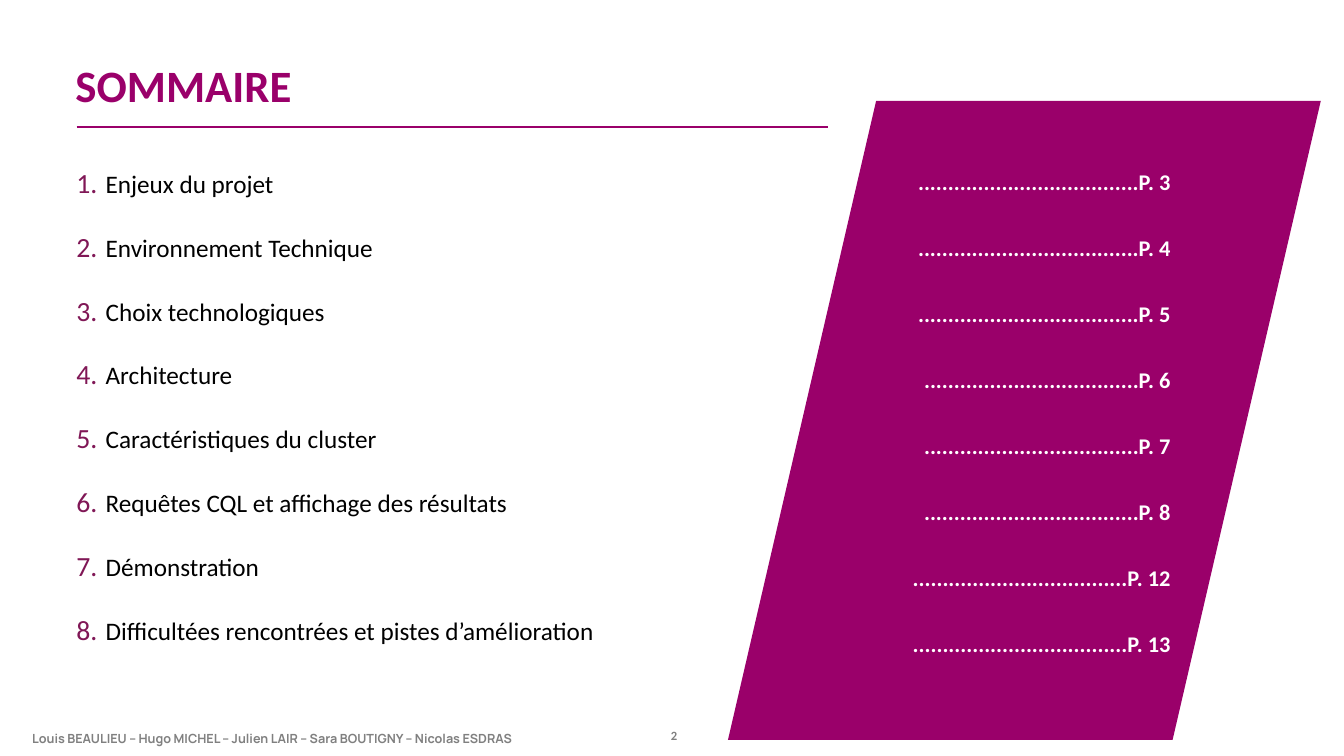
from lxml import etree
from pptx import Presentation
from pptx.dml.color import RGBColor
from pptx.enum.shapes import MSO_CONNECTOR as Conn, MSO_SHAPE as Shape
from pptx.enum.text import MSO_ANCHOR as Anchor, PP_ALIGN as Align
from pptx.oxml.ns import qn
from pptx.util import Inches, Pt

PLUM = RGBColor(0x9A, 0x00, 0x6A)
BERRY = RGBColor(0x80, 0x17, 0x56)
BLACK = RGBColor(0x00, 0x00, 0x00)
WHITE = RGBColor(0xFF, 0xFF, 0xFF)
GREY = RGBColor(0x80, 0x80, 0x80)

TOPICS = [
    ("Enjeux du projet", 3, 37),
    ("Environnement Technique", 4, 37),
    ("Choix technologiques", 5, 37),
    ("Architecture", 6, 36),
    ("Caractéristiques du cluster", 7, 36),
    ("Requêtes CQL et affichage des résultats", 8, 36),
    ("Démonstration", 12, 36),
    ("Difficultées rencontrées et pistes d’amélioration", 13, 36),
]  # title, page, number of leader dots
AUTHORS = "Louis BEAULIEU – Hugo MICHEL – Julien LAIR – Sara BOUTIGNY – Nicolas ESDRAS"


def add_text(slide, box, lines, size, color, font="Calibri", bold=False,
             align=Align.LEFT, anchor=Anchor.TOP, before=0, after=0):
    frame = slide.shapes.add_textbox(*map(Inches, box)).text_frame
    frame.word_wrap = True
    frame.vertical_anchor = anchor
    frame.text = "\n".join(lines)
    for para in frame.paragraphs:
        para.alignment = align
        para.space_before, para.space_after = Pt(before), Pt(after)
        face = para.runs[0].font
        face.name, face.size, face.bold = font, Pt(size), bold
        face.color.rgb = color
    return frame


def number(para, indent, color, percent):
    """Give a paragraph an automatic number with a hanging indent."""
    props = para._p.get_or_add_pPr()
    props.set("marL", str(Inches(indent)))
    props.set("indent", str(-Inches(indent)))
    tint = etree.SubElement(props, qn("a:buClr"))
    etree.SubElement(tint, qn("a:srgbClr"), val=str(color))
    etree.SubElement(props, qn("a:buSzPct"), val=str(percent * 1000))
    etree.SubElement(props, qn("a:buFont"), typeface="Calibri")
    etree.SubElement(props, qn("a:buAutoNum"), type="arabicPeriod")


def add_header(slide, left, top, width):
    add_text(slide, (left, top, 2.55, 0.86), ["SOMMAIRE"], 32, PLUM, bold=True)
    start, level = left + 0.11, top + 0.74
    rule = slide.shapes.add_connector(
        Conn.STRAIGHT, Inches(start), Inches(level),
        Inches(start + width), Inches(level))
    rule.line.color.rgb = PLUM
    rule.line.width = Pt(1.5)
    etree.SubElement(rule._element.spPr, qn("a:effectLst"))


def add_topics(slide, box):
    frame = add_text(slide, box, [title for title, _, _ in TOPICS], 18, BLACK,
                     before=12, after=12)
    for para in frame.paragraphs:
        number(para, 0.29, BERRY, 110)


def add_pages(slide, left, top, width, height):
    panel = slide.shapes.add_shape(
        Shape.PARALLELOGRAM, *map(Inches, (left, top, width, height)))
    panel.shadow.inherit = False
    panel.fill.solid()
    panel.fill.fore_color.rgb = PLUM
    panel.line.fill.background()
    pages = ["." * dots + f"P. {page}" for _, page, dots in TOPICS]
    add_text(slide, (left + 1.26, top + 0.62, 3.23, 5.2), pages, 16, WHITE,
             bold=True, align=Align.RIGHT, before=16, after=12)


def add_footer(slide, left, top):
    add_text(slide, (left, top + 0.03, 5.21, 0.4), [AUTHORS], 9, GREY,
             font="Manrope", bold=True, anchor=Anchor.MIDDLE)
    add_text(slide, (left + 6.16, top, 0.61, 0.4), ["2"], 9, GREY,
             bold=True, align=Align.CENTER, anchor=Anchor.MIDDLE)


def main():
    deck = Presentation()
    deck.slide_width, deck.slide_height = Inches(13.33), Inches(7.5)
    slide = deck.slides.add_slide(deck.slide_layouts[6])
    add_footer(slide, 0.22, 7.1)
    add_topics(slide, (0.66, 1.62, 6.87, 5.2))
    add_header(slide, 0.65, 0.52, 7.45)
    add_pages(slide, 7.22, 1, 5.88, 6.34)
    deck.save("out.pptx")


if __name__ == "__main__":
    main()
